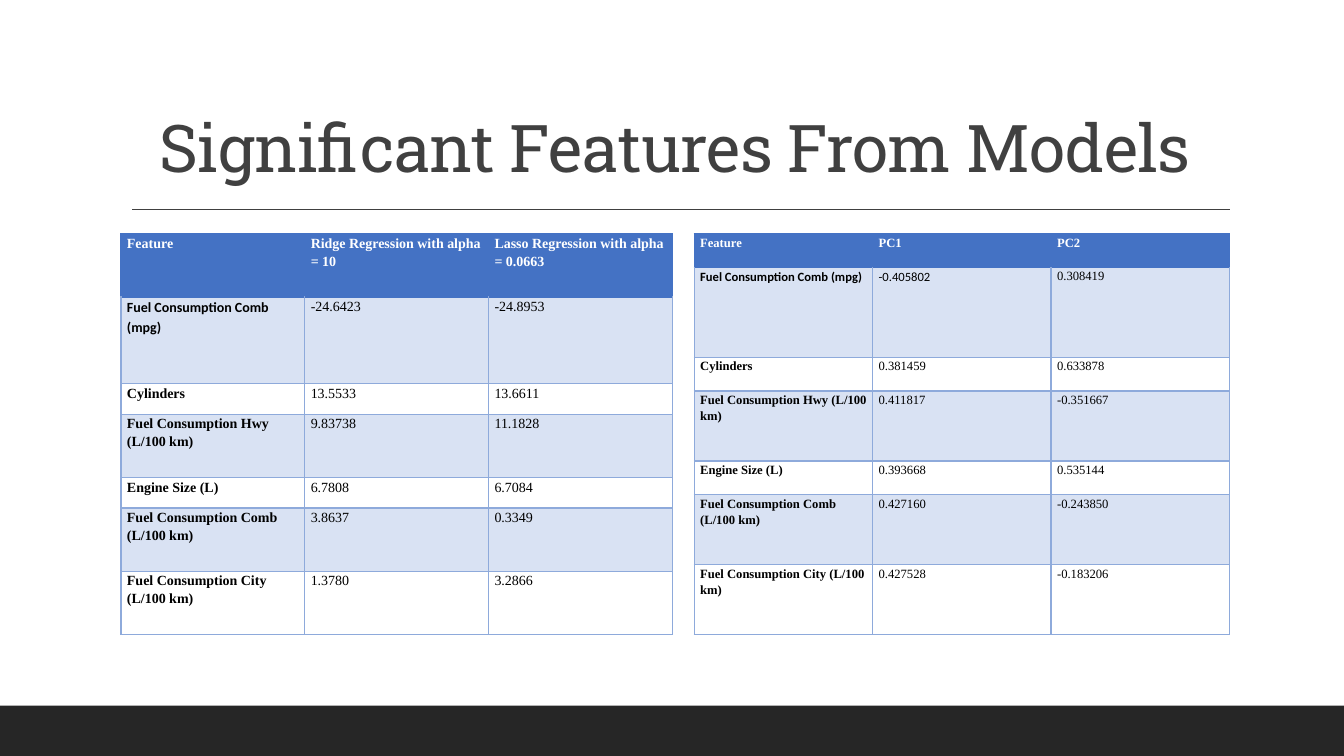
"""Builds the slide comparing significant features across models."""
import pptx
import pptx.dml.color
import pptx.enum.shapes
import pptx.enum.text
import pptx.oxml
import pptx.oxml.ns
import pptx.util

Pt = pptx.util.Pt
BLUE, PALE_BLUE, BORDER = "4472C4", "D9E2F3", "8EAADB"
SERIF, SANS = "Times New Roman", "Calibri"
FEATURES = [
    "Fuel Consumption Comb (mpg)",
    "Cylinders",
    "Fuel Consumption Hwy (L/100 km)",
    "Engine Size (L)",
    "Fuel Consumption Comb (L/100 km)",
    "Fuel Consumption City (L/100 km)",
]
REGRESSION_HEADER = ["Feature", "Ridge Regression with alpha = 10", "Lasso Regression with alpha = 0.0663"]
REGRESSION = [
    ("-24.6423", "-24.8953"),
    ("13.5533", "13.6611"),
    ("9.83738", "11.1828"),
    ("6.7808", "6.7084"),
    ("3.8637", "0.3349"),
    ("1.3780", "3.2866"),
]
COMPONENT_HEADER = ["Feature", "PC1", "PC2"]
COMPONENTS = [
    ("-0.405802", "0.308419"),
    ("0.381459", "0.633878"),
    ("0.411817", "-0.351667"),
    ("0.393668", "0.535144"),
    ("0.427160", "-0.243850"),
    ("0.427528", "-0.183206"),
]


def rgb(color):
    """Turn a hex string into a colour."""
    return pptx.dml.color.RGBColor.from_string(color)


def set_font(p, name, size, color, bold=False):
    """Set the font of a paragraph."""
    p.font.name, p.font.size, p.font.bold = name, Pt(size), bold
    p.font.color.rgb = rgb(color)


def add_footer_band(s):
    """Add the dark band along the bottom."""
    sp = s.shapes.add_shape(pptx.enum.shapes.MSO_SHAPE.RECTANGLE, 0, Pt(504), Pt(960), Pt(36))
    sp.shadow.inherit = False
    sp.fill.solid()
    sp.fill.fore_color.rgb = rgb("262626")
    sp.line.fill.background()


def add_rule(s, left, right, top):
    """Add a horizontal line without a shadow."""
    line = s.shapes.add_connector(
        pptx.enum.shapes.MSO_CONNECTOR.STRAIGHT, Pt(left), Pt(top), Pt(right), Pt(top))
    line.line.width = Pt(1)
    line.line.color.rgb = rgb("404040")
    line._element.spPr.append(pptx.oxml.parse_xml(f'<a:effectLst {pptx.oxml.ns.nsdecls("a")}/>'))


def add_title(s, text):
    """Add the centred title, anchored at the bottom of its box."""
    tf = s.shapes.add_textbox(Pt(86.4), Pt(22.3), Pt(792), Pt(114.5)).text_frame
    tf.word_wrap = True
    tf.vertical_anchor = pptx.enum.text.MSO_ANCHOR.BOTTOM
    p = tf.paragraphs[0]
    p.alignment = pptx.enum.text.PP_ALIGN.CENTER
    p.line_spacing = 0.9
    set_font(p, "Roboto Slab", 47, "404040")
    r = p.add_run()
    r.text = text
    r._r.get_or_add_rPr().set("spc", "-50")


def set_borders(cell, **colors):
    """Draw 1 pt cell borders, given by side in the order L, R, T, B."""
    for side, color in colors.items():
        cell._tc.get_or_add_tcPr().append(pptx.oxml.parse_xml(
            f'<a:ln{side} {pptx.oxml.ns.nsdecls("a")} w="12700"><a:solidFill>'
            f'<a:srgbClr val="{color}"/></a:solidFill></a:ln{side}>'))


def fill_cell(cell, text, row, col, size, font):
    """Write and style one table cell according to its place."""
    header = row == 0
    side = BLUE if header else BORDER
    set_borders(cell, L=side, R=side, T=BLUE if row < 2 else BORDER, B=side)
    if header or row % 2:
        cell.fill.solid()
        cell.fill.fore_color.rgb = rgb(BLUE if header else PALE_BLUE)
    else:
        cell.fill.background()
    cell.margin_left = cell.margin_right = Pt(4.32)
    cell.margin_top = cell.margin_bottom = 0
    p = cell.text_frame.paragraphs[0]
    p.line_spacing = 1.15
    p.space_after = Pt(8)
    set_font(p, font, size, "FFFFFF" if header else "000000", header or col == 0)
    p.add_run().text = text


def add_feature_table(s, left, col_width, heights, header, values, size, sans_cells):
    """Add a table of features and their values."""
    rows = [header] + [(feature, *pair) for feature, pair in zip(FEATURES, values)]
    table = s.shapes.add_table(
        len(rows), len(header), Pt(left), Pt(167), Pt(col_width * len(header)), Pt(sum(heights))).table
    table.first_row = table.horz_banding = False
    for column in table.columns:
        column.width = Pt(col_width)
    for i, (texts, height) in enumerate(zip(rows, heights)):
        table.rows[i].height = Pt(height)
        for j, text in enumerate(texts):
            font = SANS if (i, j) in sans_cells else SERIF
            fill_cell(table.cell(i, j), text, i, j, size, font)


def main():
    """Build and save the slide."""
    prs = pptx.Presentation()
    prs.slide_width, prs.slide_height = Pt(960), Pt(540)
    s = prs.slides.add_slide(prs.slide_layouts[6])
    add_footer_band(s)
    add_rule(s, 94.4, 878.8, 149.5)
    add_title(s, "Significant Features From Models")
    add_feature_table(s, 86.4, 131.3, [45.2, 61.9, 21.8, 45.2, 21.8, 45.2, 45.2],
                      REGRESSION_HEADER, REGRESSION, 10, [(1, 0)])
    add_feature_table(s, 495.8, 127.5, [24.2, 64, 24.2, 50, 24.2, 50, 50],
                      COMPONENT_HEADER, COMPONENTS, 9, [(1, 0), (1, 1)])
    prs.save("out.pptx")


if __name__ == "__main__":
    main()
